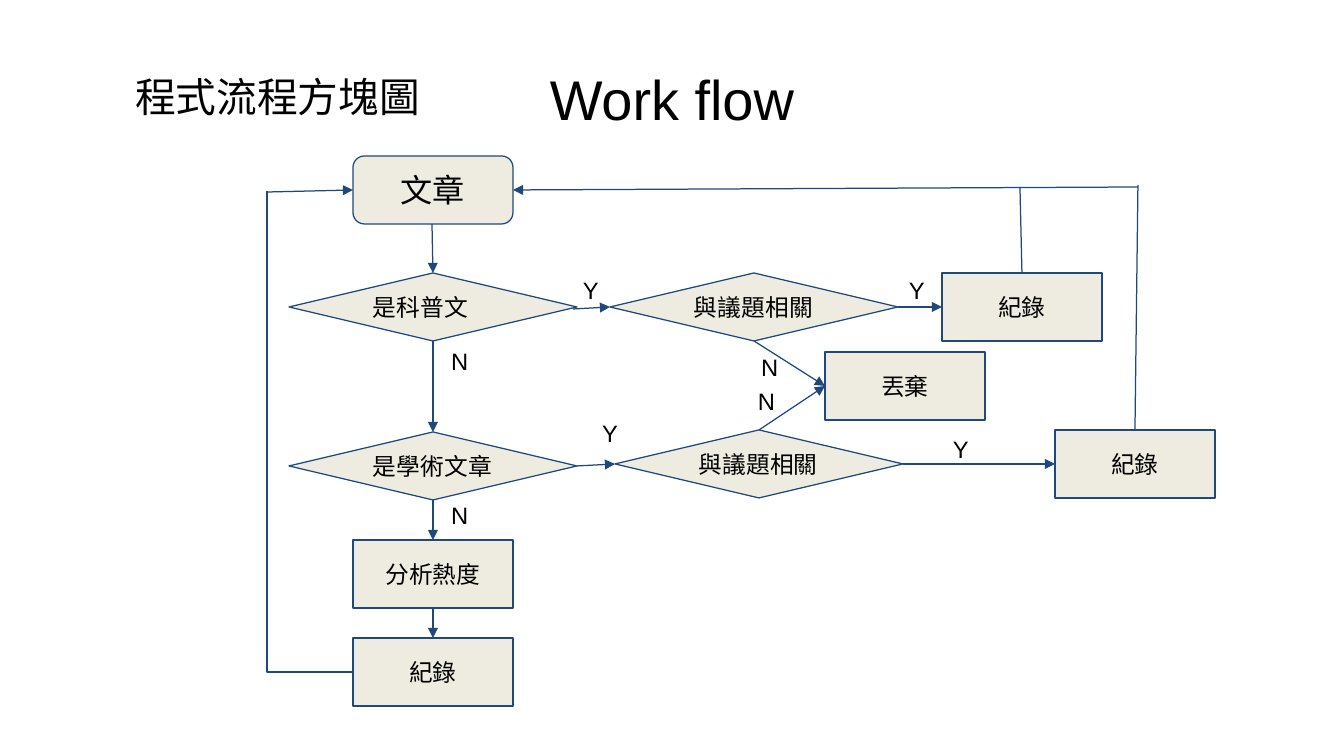
from dataclasses import dataclass
from enum import IntEnum

from lxml import etree
from pptx import Presentation
from pptx import util as u
from pptx.dml.color import RGBColor
from pptx.enum import shapes, text
from pptx.oxml.ns import qn

PX = 914400 / 122
KIND = shapes.MSO_SHAPE
CENTER, LEFT = text.PP_ALIGN.CENTER, text.PP_ALIGN.LEFT
MIDDLE, TOP = text.MSO_ANCHOR.MIDDLE, text.MSO_ANCHOR.TOP


@dataclass(frozen=True)
class Theme:
    font: str = "Arial"
    ink: RGBColor = RGBColor(0x00, 0x00, 0x00)
    fill: RGBColor = RGBColor(0xEE, 0xEC, 0xE1)
    line: RGBColor = RGBColor(0x1F, 0x49, 0x7D)
    line_width: float = 0.75
    title_size: int = 33
    subtitle_size: int = 24
    start_size: int = 19
    body_size: int = 14
    inset: int = 12


class Side(IntEnum):
    """Connection sites of a node, in the order the shapes number them."""
    TOP = 0
    LEFT = 1
    BOTTOM = 2
    RIGHT = 3


@dataclass(frozen=True)
class Node:
    key: str
    words: str
    left: int
    top: int
    kind: KIND = KIND.RECTANGLE


@dataclass(frozen=True)
class End:
    """A connector end: a side of a node, or a free point."""
    x: int = 0
    y: int = 0
    key: str = ""
    side: Side = Side.TOP


@dataclass(frozen=True)
class Link:
    start: End
    end: End
    arrow: bool = True
    elbow: bool = False


@dataclass(frozen=True)
class Label:
    words: str
    left: int
    top: int
    height: int = 68


THEME = Theme()
HEIGHT = 68
BOX_WIDTH, DECISION_WIDTH = 160, 288
BOX_COLUMN, DECISION_COLUMN = 353, 289
SCIENCE_ROW, ACADEMIC_ROW, TOPIC_ROW = 273, 432, 430

NODES = [
    Node("article", "文章", BOX_COLUMN, 156, KIND.FLOWCHART_ALTERNATE_PROCESS),
    Node("science", "是科普文", DECISION_COLUMN, SCIENCE_ROW, KIND.FLOWCHART_DECISION),
    Node("academic", "是學術文章", DECISION_COLUMN, ACADEMIC_ROW, KIND.FLOWCHART_DECISION),
    Node("heat", "分析熱度", BOX_COLUMN, 540),
    Node("heat record", "紀錄", BOX_COLUMN, 638),
    Node("science topic", "與議題相關", 610, SCIENCE_ROW, KIND.FLOWCHART_DECISION),
    Node("science record", "紀錄", 942, SCIENCE_ROW),
    Node("academic topic", "與議題相關", 615, TOPIC_ROW, KIND.FLOWCHART_DECISION),
    Node("academic record", "紀錄", 1055, TOPIC_ROW),
    Node("discard", "丟棄", 825, 352),
]


def at(key: str, side: Side) -> End:
    return End(key=key, side=side)


def down(upper: str, lower: str) -> Link:
    return Link(at(upper, Side.BOTTOM), at(lower, Side.TOP))


def across(near: str, far: str) -> Link:
    return Link(at(near, Side.RIGHT), at(far, Side.LEFT))


LINKS = [
    Link(End(432, 224), at("science", Side.TOP)),
    down("science", "academic"),
    down("academic", "heat"),
    down("heat", "heat record"),
    Link(End(573, 309), at("science topic", Side.LEFT)),
    across("science topic", "science record"),
    across("academic", "academic topic"),
    across("academic topic", "academic record"),
    Link(at("science topic", Side.BOTTOM), at("discard", Side.LEFT)),
    Link(at("academic topic", Side.TOP), at("discard", Side.LEFT)),
    Link(at("heat record", Side.LEFT), End(267, 191), arrow=False, elbow=True),
    Link(End(268, 192), at("article", Side.LEFT)),
    Link(End(1138, 187), at("article", Side.RIGHT)),
    Link(at("science record", Side.TOP), End(1020, 188), arrow=False),
    Link(at("academic record", Side.TOP), End(1138, 185), arrow=False),
]

LABELS = [
    Label("Y", 571, 264), Label("Y", 897, 264),
    Label("N", 439, 335), Label("N", 439, 489),
    Label("N", 749, 341, 45), Label("N", 746, 375, 49),
    Label("Y", 590, 407, 40), Label("Y", 941, 423, 40),
]


def px(length: int) -> u.Emu:
    return u.Emu(round(length * PX))


def write(shape, words: str, size: int, align=LEFT, anchor=TOP, inset: int = 0) -> None:
    frame = shape.text_frame
    frame.word_wrap = True
    frame.auto_size = text.MSO_AUTO_SIZE.NONE
    frame.vertical_anchor = anchor
    frame.margin_left = frame.margin_right = px(inset)
    frame.margin_top = frame.margin_bottom = px(inset)
    para = frame.paragraphs[0]
    para.alignment = align
    span = para.add_run()
    span.text = words
    span.font.name = THEME.font
    span.font.size = u.Pt(size)
    span.font.color.rgb = THEME.ink


def outline(shape) -> None:
    shape.line.color.rgb = THEME.line
    shape.line.width = u.Pt(THEME.line_width)


def draw_node(page, node: Node):
    is_decision = node.kind == KIND.FLOWCHART_DECISION
    is_start = node.kind == KIND.FLOWCHART_ALTERNATE_PROCESS
    width = DECISION_WIDTH if is_decision else BOX_WIDTH
    box = page.shapes.add_shape(node.kind, px(node.left), px(node.top), px(width), px(HEIGHT))
    box.shadow.inherit = False
    box.fill.solid()
    box.fill.fore_color.rgb = THEME.fill
    outline(box)
    write(box, node.words, THEME.start_size if is_start else THEME.body_size,
          LEFT if is_decision else CENTER, MIDDLE, THEME.inset)
    return box


def draw_link(page, link: Link, boxes: dict) -> None:
    kind = shapes.MSO_CONNECTOR.ELBOW if link.elbow else shapes.MSO_CONNECTOR.STRAIGHT
    start, end = link.start, link.end
    line = page.shapes.add_connector(kind, px(start.x), px(start.y), px(end.x), px(end.y))
    if start.key:
        line.begin_connect(boxes[start.key], start.side)
    if end.key:
        line.end_connect(boxes[end.key], end.side)
    outline(line)
    properties = line._element.spPr
    if link.elbow:  # one bend instead of two
        properties.find(qn("a:prstGeom")).set("prst", "bentConnector2")
    if link.arrow:
        etree.SubElement(properties.find(qn("a:ln")), qn("a:tailEnd"), type="triangle")
    etree.SubElement(properties, qn("a:effectLst"))


def draw_text(page, label: Label, width: int, size: int, inset: int) -> None:
    box = page.shapes.add_textbox(px(label.left), px(label.top), px(width), px(label.height))
    write(box, label.words, size, inset=inset)


def main() -> None:
    deck = Presentation()
    deck.slide_width, deck.slide_height = px(1344), px(756)
    page = deck.slides.add_slide(deck.slide_layouts.get_by_name("Title Only"))

    title = page.shapes.title
    title.left, title.top, title.width, title.height = map(px, (67, 60, 1210, 76))
    write(title, "Work flow", THEME.title_size, CENTER, MIDDLE)
    draw_text(page, Label("程式流程方塊圖", 135, 72), 372, THEME.subtitle_size, 0)

    boxes = {node.key: draw_node(page, node) for node in NODES}
    for link in LINKS:
        draw_link(page, link, boxes)
    for label in LABELS:
        draw_text(page, label, 45, THEME.body_size, THEME.inset)
    deck.save("out.pptx")


if __name__ == "__main__":
    main()
